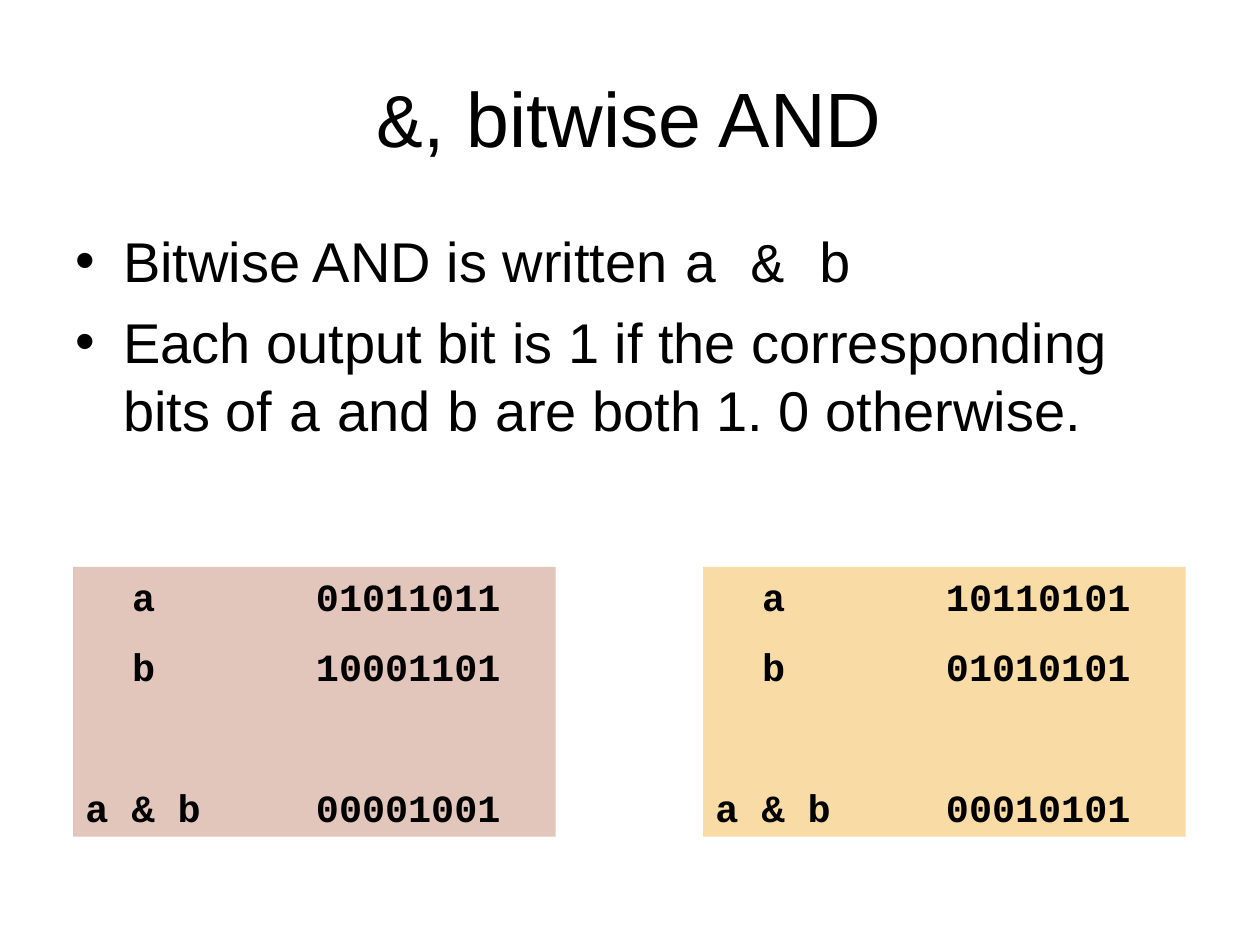
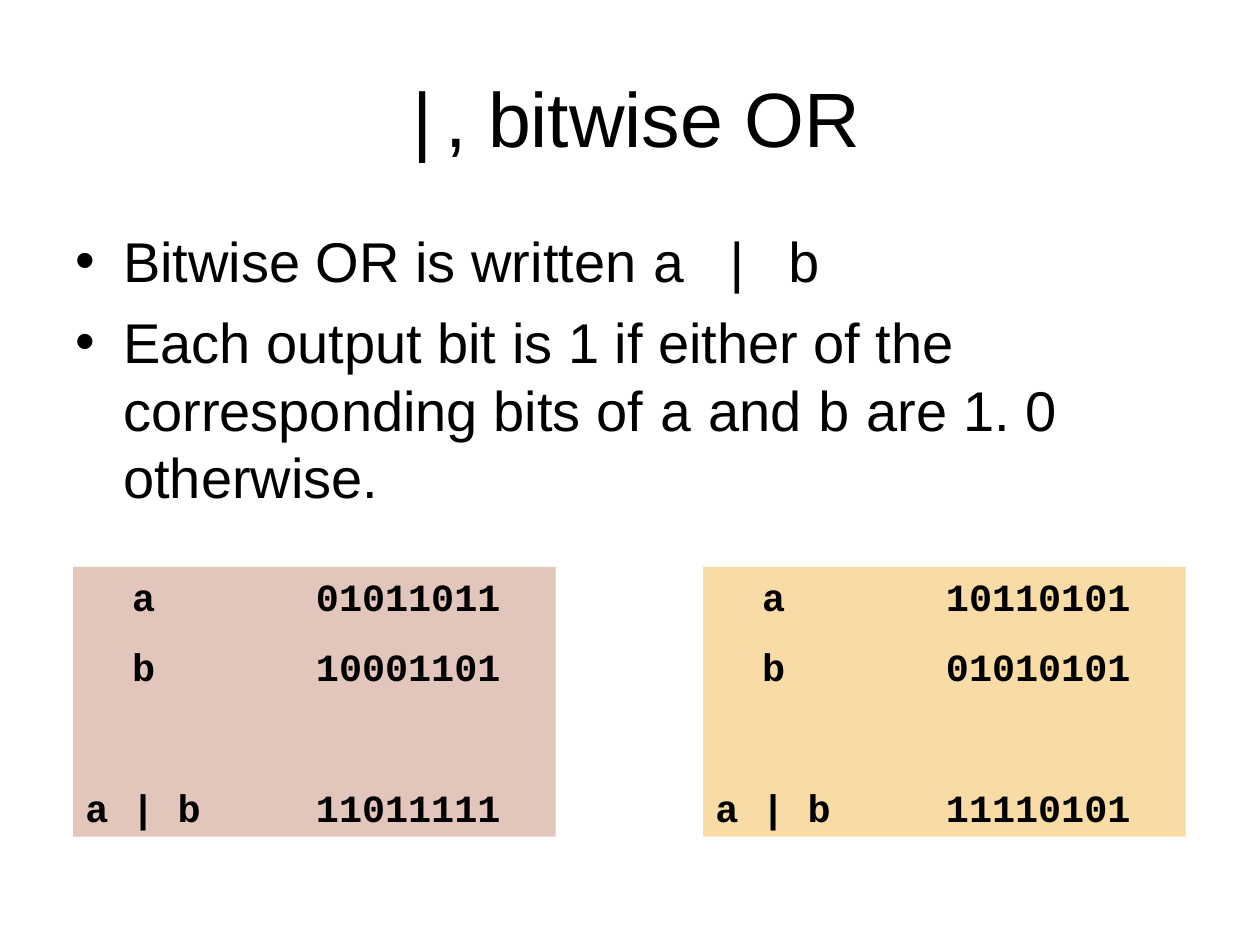
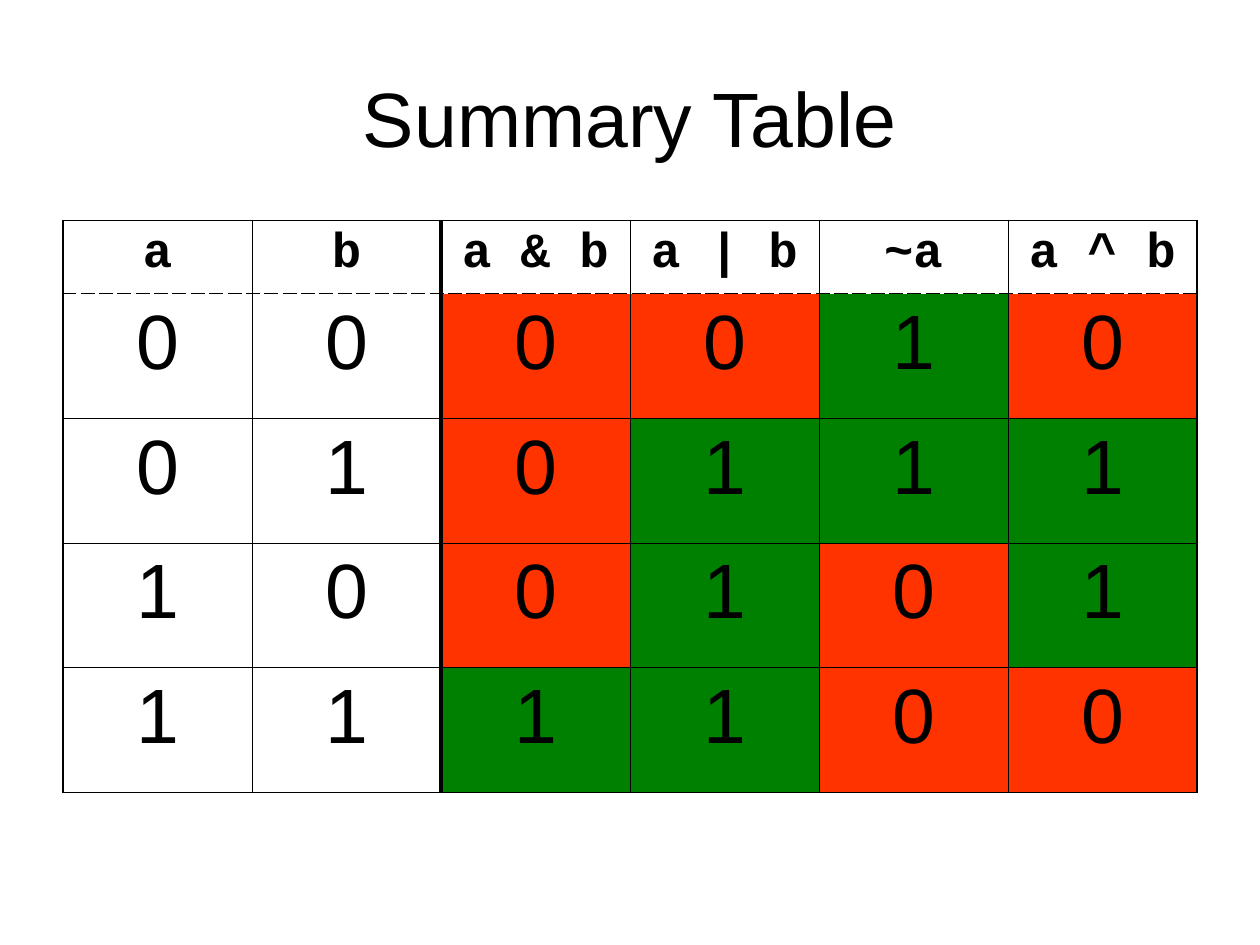
"""Build three slides on bitwise operators: AND, OR and a summary truth table."""

from dataclasses import dataclass
from itertools import product
from typing import Callable, NamedTuple, Optional

from lxml.etree import SubElement
from pptx import Presentation
from pptx.dml.color import RGBColor as Color
from pptx.enum.shapes import MSO_SHAPE as Preset
from pptx.enum.text import MSO_ANCHOR as Anchor, PP_ALIGN as Align
from pptx.oxml.ns import qn
from pptx.util import Inches, Pt


@dataclass(frozen=True)
class Theme:
    """Colours, fonts, type sizes and line widths shared by the slides."""

    ink: str = "000000"
    rose: str = "E3C6BB"
    sand: str = "F9DBA5"
    zero: str = "FF3300"
    one: str = "008000"
    sans: str = "Arial"
    mono: str = "Courier New"
    title: int = 44
    body: int = 32
    panel: int = 22
    heading: int = 28
    bit: int = 44
    leading: float = 1.2
    thin: float = 0.45
    medium: float = 1.08
    thick: float = 2.21


class Box(NamedTuple):
    """A place on a grid of 100 columns by 75 rows."""

    left: float
    top: float
    width: float
    height: float


class Piece(NamedTuple):
    """A stretch of text, set as code or as prose."""

    text: str
    code: bool = False


class Operator(NamedTuple):
    """A column of the truth table."""

    label: str
    apply: Callable[[int, int], int]


class Panel(NamedTuple):
    """A worked example with its two operands."""

    left: float
    fill: str
    a: int
    b: int


@dataclass(frozen=True)
class Lesson:
    """An operator slide: its symbol, name, rule and operation."""

    symbol: str
    name: str
    condition: str
    verdict: str
    operator: Operator


THEME = Theme()
COLUMNS, ROWS = 100, 75
WIDTH, HEIGHT = Inches(10), Inches(7.5)
TITLE_BOX = Box(5, 3, 90, 12.5)
BODY_BOX = Box(5, 17.5, 90, 49.5)
TABLE_BOX = Box(5, 17.5, 90, 45.4)
PANEL_TOP, PANEL_WIDTH, PANEL_HEIGHT = 45, 38.3, 21.4
HEADING_ROW, BIT_ROW = 5.8, 9.9
PANEL_GAP = 13.8
PANEL_TABS = (0.37, 1.83)

AND = Operator("a & b", lambda a, b: a & b)
OR = Operator("a | b", lambda a, b: a | b)
INPUTS = (Operator("a", lambda a, b: a), Operator("b", lambda a, b: b))
RESULTS = (AND, OR, Operator("~a", lambda a, b: 1 - a), Operator("a ^ b", lambda a, b: a ^ b))

PANELS = (
    Panel(5.8, THEME.rose, 0b01011011, 0b10001101),
    Panel(55.8, THEME.sand, 0b10110101, 0b01010101),
)
LESSONS = (
    Lesson("&", "AND", "the corresponding bits of ", " are both 1. 0 otherwise.", AND),
    Lesson("|", "OR", "either of the corresponding bits of ", " are 1. 0 otherwise.", OR),
)


def across(columns: float) -> int:
    """Turn grid columns into a length."""
    return round(WIDTH * columns / COLUMNS)


def down(rows: float) -> int:
    """Turn grid rows into a length."""
    return round(HEIGHT * rows / ROWS)


def place(box: Box) -> tuple[int, int, int, int]:
    """Turn a grid box into left, top, width and height."""
    return across(box.left), down(box.top), across(box.width), down(box.height)


def style(paragraph, size: int, font: Optional[str] = None, bold: bool = False) -> None:
    """Set the type of a whole paragraph."""
    paragraph.font.size = Pt(size)
    paragraph.font.bold = bold
    paragraph.font.color.rgb = Color.from_string(THEME.ink)
    if font:
        paragraph.font.name = font


def write(paragraph, pieces: tuple[Piece, ...], size: int) -> None:
    """Fill a paragraph with prose and code."""
    style(paragraph, size)
    paragraph.line_spacing = Pt(size * THEME.leading)
    for piece in pieces:
        run = paragraph.add_run()
        run.text = piece.text
        run.font.name = THEME.mono if piece.code else THEME.sans


def add_bullet(paragraph) -> None:
    """Give a paragraph a hanging round bullet."""
    properties = paragraph._p.get_or_add_pPr()
    properties.set("marL", str(Inches(0.38)))
    properties.set("indent", str(-Inches(0.38)))
    SubElement(properties, qn("a:buFont"), typeface=THEME.sans)
    SubElement(properties, qn("a:buChar"), char="•")


def add_tabs(paragraph, stops: tuple[float, ...]) -> None:
    """Give a paragraph left tab stops, in inches."""
    tabs = SubElement(paragraph._p.get_or_add_pPr(), qn("a:tabLst"))
    for stop in stops:
        SubElement(tabs, qn("a:tab"), pos=str(Inches(stop)), algn="l")


def add_title(slide, *pieces: Piece) -> None:
    """Draw the centred slide title."""
    frame = slide.shapes.add_textbox(*place(TITLE_BOX)).text_frame
    frame.word_wrap = True
    frame.vertical_anchor = Anchor.MIDDLE
    paragraph = frame.paragraphs[0]
    paragraph.alignment = Align.CENTER
    write(paragraph, pieces, THEME.title)


def add_body(slide, points: tuple[tuple[Piece, ...], ...]) -> None:
    """Draw the bullet points."""
    frame = slide.shapes.add_textbox(*place(BODY_BOX)).text_frame
    frame.word_wrap = True
    for index, pieces in enumerate(points):
        paragraph = frame.add_paragraph() if index else frame.paragraphs[0]
        add_bullet(paragraph)
        paragraph.space_before = Pt(8)
        write(paragraph, pieces, THEME.body)


def add_panel(slide, panel: Panel, operator: Operator) -> None:
    """Draw a coloured panel with two operands and their result."""
    box = Box(panel.left, PANEL_TOP, PANEL_WIDTH, PANEL_HEIGHT)
    shape = slide.shapes.add_shape(Preset.RECTANGLE, *place(box))
    shape.shadow.inherit = False
    shape.fill.solid()
    shape.fill.fore_color.rgb = Color.from_string(panel.fill)
    shape.line.fill.background()
    frame = shape.text_frame
    frame.word_wrap = True
    frame.vertical_anchor = Anchor.TOP
    leading = THEME.panel * THEME.leading
    result_gap = 2 * PANEL_GAP + leading
    lines = (
        ("\ta", panel.a, PANEL_GAP),
        ("\tb", panel.b, PANEL_GAP),
        (operator.label, operator.apply(panel.a, panel.b), result_gap),
    )
    for index, (label, value, gap) in enumerate(lines):
        paragraph = frame.add_paragraph() if index else frame.paragraphs[0]
        add_tabs(paragraph, PANEL_TABS)
        paragraph.alignment = Align.LEFT
        paragraph.space_before = Pt(gap)
        paragraph.line_spacing = Pt(leading)
        paragraph.add_run().text = f"{label}\t{value:08b}"
        style(paragraph, THEME.panel, THEME.mono, bold=True)


def add_border(cell, side: str, width: float, dash: str) -> None:
    """Draw one edge of a table cell."""
    properties = cell._tc.get_or_add_tcPr()
    line = SubElement(properties, qn(f"a:ln{side}"), w=str(Pt(width)))
    fill = SubElement(line, qn("a:solidFill"))
    SubElement(fill, qn("a:srgbClr"), val=THEME.ink)
    SubElement(line, qn("a:prstDash"), val=dash)


def column_edge(index: int, count: int) -> float:
    """Give the width of the vertical rule before a column."""
    if index == len(INPUTS):
        return THEME.thick
    return THEME.medium if index in (0, count) else THEME.thin


def row_edge(index: int, count: int) -> tuple[float, str]:
    """Give the width and dash of the horizontal rule above a row."""
    width = THEME.medium if index in (0, 1, count) else THEME.thin
    return width, "dash" if index == 1 else "solid"


def fill_cell(cell, text: str, heading: bool, fill: Optional[str]) -> None:
    """Write a table cell and colour it."""
    paragraph = cell.text_frame.paragraphs[0]
    paragraph.alignment = Align.CENTER
    paragraph.space_before = Pt(7 if heading else 11)
    paragraph.add_run().text = text
    if heading:
        style(paragraph, THEME.heading, THEME.mono, bold=True)
    else:
        style(paragraph, THEME.bit, THEME.sans)
    if fill:
        cell.fill.solid()
        cell.fill.fore_color.rgb = Color.from_string(fill)
    else:
        cell.fill.background()


def add_truth_table(slide) -> None:
    """Draw the truth table of all operators."""
    operators = INPUTS + RESULTS
    cases = tuple(product((0, 1), repeat=2))
    rows, columns = len(cases) + 1, len(operators)
    table = slide.shapes.add_table(rows, columns, *place(TABLE_BOX)).table
    table.first_row = table.horz_banding = False
    for column in table.columns:
        column.width = across(TABLE_BOX.width / columns)
    for index, row in enumerate(table.rows):
        row.height = down(BIT_ROW if index else HEADING_ROW)
    for row, column in product(range(rows), range(columns)):
        cell = table.cell(row, column)
        add_border(cell, "L", column_edge(column, columns), "solid")
        add_border(cell, "R", column_edge(column + 1, columns), "solid")
        add_border(cell, "T", *row_edge(row, rows))
        add_border(cell, "B", *row_edge(row + 1, rows))
        operator = operators[column]
        if row == 0:
            fill_cell(cell, operator.label, True, None)
            continue
        bit = operator.apply(*cases[row - 1])
        colour = THEME.one if bit else THEME.zero
        fill_cell(cell, str(bit), False, colour if operator in RESULTS else None)


def add_lesson(slide, lesson: Lesson) -> None:
    """Draw a slide that explains one operator."""
    add_title(slide, Piece(lesson.symbol, True), Piece(f", bitwise {lesson.name}"))
    add_body(slide, (
        (Piece(f"Bitwise {lesson.name} is written "), Piece(lesson.operator.label, True)),
        (
            Piece(f"Each output bit is 1 if {lesson.condition}"),
            Piece("a", True),
            Piece(" and "),
            Piece("b", True),
            Piece(lesson.verdict),
        ),
    ))
    for panel in PANELS:
        add_panel(slide, panel, lesson.operator)


def main() -> None:
    """Build and save the presentation."""
    presentation = Presentation()
    presentation.slide_width, presentation.slide_height = WIDTH, HEIGHT
    blank = presentation.slide_layouts[6]
    for lesson in LESSONS:
        add_lesson(presentation.slides.add_slide(blank), lesson)
    summary = presentation.slides.add_slide(blank)
    add_title(summary, Piece("Summary Table"))
    add_truth_table(summary)
    presentation.save("out.pptx")


main()
